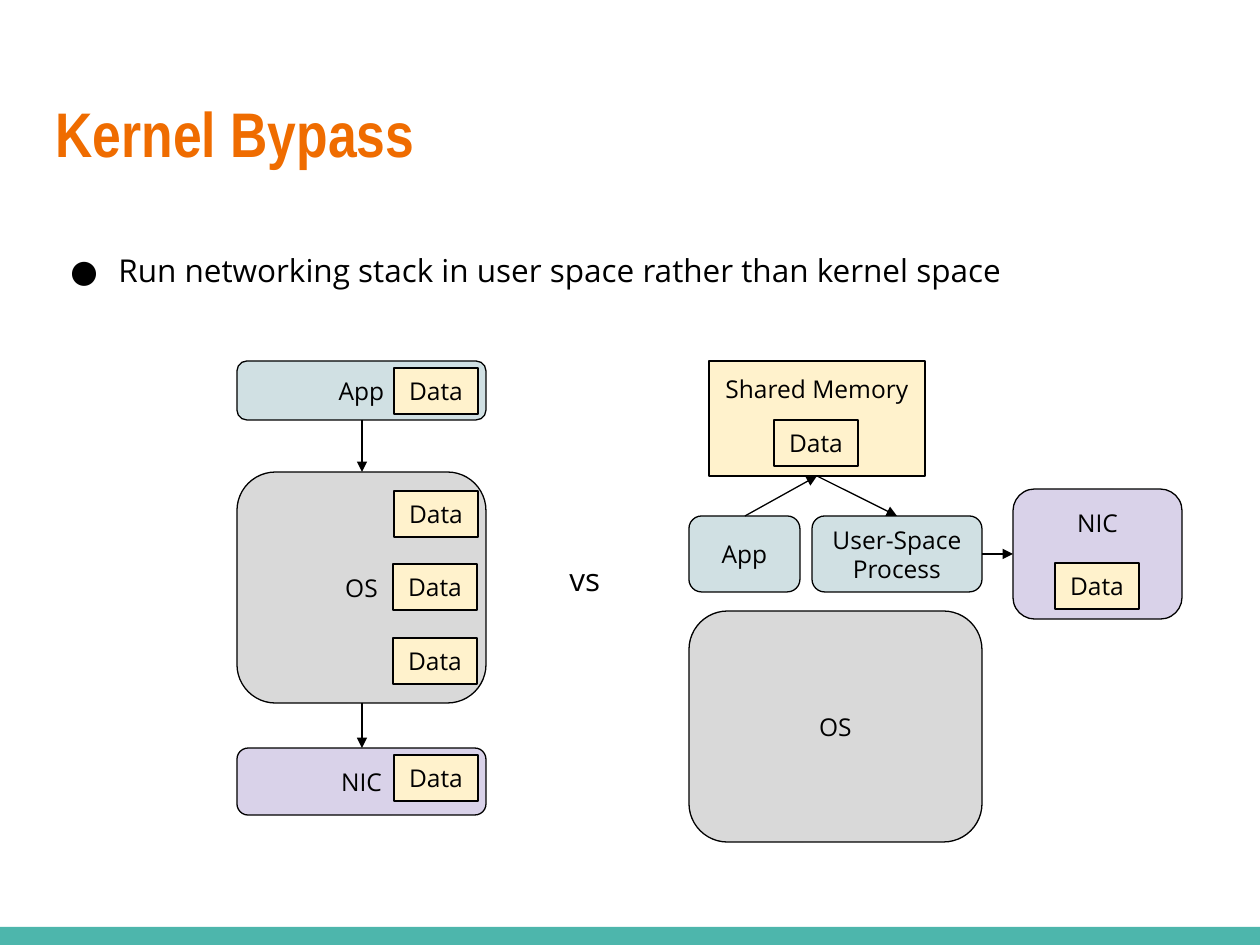
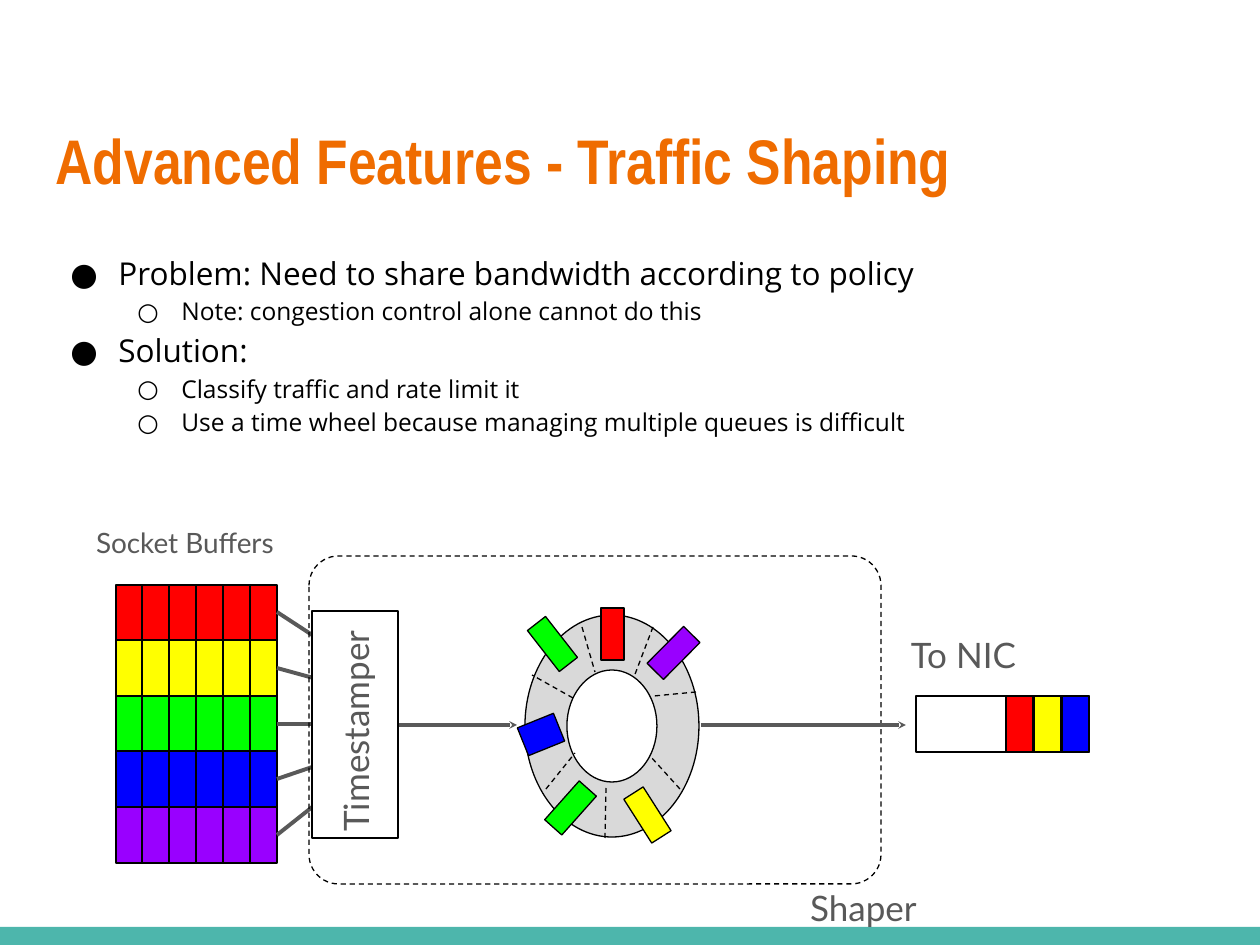
"""Build two slides on kernel bypass and traffic shaping."""
from lxml.etree import Element, SubElement
from pptx import Presentation
from pptx.dml.color import RGBColor
from pptx.enum.dml import MSO_LINE
from pptx.enum.shapes import MSO_CONNECTOR, MSO_SHAPE
from pptx.enum.text import MSO_ANCHOR, MSO_AUTO_SIZE, PP_ALIGN
from pptx.oxml.ns import qn
from pptx.util import Emu, Inches, Pt

UNIT = 914400 / 126
PAD = Inches(0.1)
BLACK, WHITE, GREY = "000000", "FFFFFF", "595959"
ORANGE, TEAL = "EF6C00", "4DB6AC"
BLUE, STONE, LILAC, CREAM = "D0E0E3", "D9D9D9", "D9D2E9", "FFF2CC"
RED, YELLOW, GREEN, NAVY, VIOLET = "FF0000", "FFFF00", "00FF00", "0000FF", "9900FF"
HEAD, BODY, LABEL = "Arial Narrow", "Open Sans", "Lato"
RECT, ROUND = MSO_SHAPE.RECTANGLE, MSO_SHAPE.ROUNDED_RECTANGLE
TOP, MIDDLE = MSO_ANCHOR.TOP, MSO_ANCHOR.MIDDLE
LEFT, CENTER = PP_ALIGN.LEFT, PP_ALIGN.CENTER
BAND = (0, 927, 1260, 18)
LEVELS = [("●", 18, 63, -48), ("○", 14, 126, -44)]

BYPASS = {
    "title": ("Kernel Bypass", (43, 82, 1174, 130)),
    "body": (43, 233, 1174, 76),
    "points": [(0, "Run networking stack in user space rather than kernel space")],
}
PARTS = [
    ("App", ROUND, (237, 361, 249, 59), BLUE, MIDDLE),
    ("OS", ROUND, (237, 472, 249, 231), STONE, MIDDLE),
    ("NIC", ROUND, (237, 748, 249, 67), LILAC, MIDDLE),
    ("App", ROUND, (689, 516, 111, 76), BLUE, MIDDLE),
    ("OS", ROUND, (689, 611, 293, 231), STONE, MIDDLE),
    ("NIC", ROUND, (1013, 489, 169, 130), LILAC, TOP),
    ("User-Space Process", ROUND, (812, 516, 170, 76), BLUE, MIDDLE),
    ("Shared Memory", RECT, (709, 361, 216, 115), CREAM, TOP),
]
FLOWS = [
    ((745, 516), (817, 476)),
    ((817, 476), (897, 516)),
    ((982, 554), (1013, 554)),
    ((362, 703), (362, 748)),
    ((362, 420), (362, 472)),
]
COPIES = [(394, 368), (394, 491), (394, 755), (774, 420),
          (1055, 563), (393, 564), (393, 638)]

SHAPING = {
    "title": ("Advanced Features - Traffic Shaping", (43, 109, 1174, 174)),
    "body": (43, 236, 1174, 607),
    "points": [
        (0, "Problem: Need to share bandwidth according to policy"),
        (1, "Note: congestion control alone cannot do this"),
        (0, "Solution:"),
        (1, "Classify traffic and rate limit it"),
        (1, "Use a time wheel because managing multiple queues is difficult"),
    ],
}
QUEUES = [
    (RED, (326, 644)),
    (YELLOW, (328, 682)),
    (GREEN, (328, 724)),
    (NAVY, (330, 761)),
    (VIOLET, (330, 793)),
]
GRID, COLS, CELL = (116, 585, 161, 278), 6, (27, 56)
SENT = [(1006, RED), (1034, YELLOW), (1062, NAVY)]
HUB, RIM, HOLE = (612, 726), (87, 111), (45, 56)
BEND = 0.55
ARC = [(1, BEND), (BEND, 1), (0, 1)]
SPOKES = [
    ((582, 627), (595, 672)),
    ((653, 627), (634, 677)),
    ((696, 692), (654, 696)),
    ((680, 789), (651, 757)),
    ((605, 838), (606, 788)),
    ((546, 789), (575, 753)),
    ((573, 698), (532, 675)),
]
PACKETS = [
    (VIOLET, (662, 627, 23, 52), 44.7),
    (RED, (601, 608, 23, 52), 0),
    (YELLOW, (636, 789, 23, 52), 327.5),
    (NAVY, (526, 715, 30, 39), 68),
    (GREEN, (541, 618, 23, 52), 322.1),
    (GREEN, (559, 782, 23, 52), 41.7),
]
HOPS = [((389, 725), (517, 725)), ((701, 725), (906, 725))]
LABELS = [
    ("To NIC", (881, 618, 165, 74), 20, MIDDLE, 0),
    ("Shaper", (788, 871, 151, 74), 20, MIDDLE, 0),
    ("Socket Buffers", (52, 513, 266, 74), 16, TOP, 0),
    ("Timestamper", (197, 703, 316, 56), 20, MIDDLE, 270),
]


def px(num):
    return Emu(round(num * UNIT))


def ink(code):
    return RGBColor.from_string(code)


def place(shape, box):
    shape.left, shape.top, shape.width, shape.height = map(px, box)


def frame(shape, anchor):
    text = shape.text_frame
    text.word_wrap = True
    text.auto_size = MSO_AUTO_SIZE.NONE
    text.vertical_anchor = anchor
    text.margin_left = text.margin_right = PAD
    text.margin_top = text.margin_bottom = PAD
    return text


def style(para, words, size, face, color=BLACK, align=CENTER, bold=False):
    para.text = words
    para.alignment = align
    font = para.font
    font.name, font.size, font.bold = face, Pt(size), bold
    font.color.rgb = ink(color)


def paint(shape, fill, edge=BLACK):
    shape.shadow.inherit = False
    if fill:
        shape.fill.solid()
        shape.fill.fore_color.rgb = ink(fill)
    else:
        shape.fill.background()
    if edge:
        shape.line.color.rgb = ink(edge)
        shape.line.width = Pt(0.75)
    else:
        shape.line.fill.background()


def block(slide, box, fill, kind=RECT, edge=BLACK, turn=0):
    shape = slide.shapes.add_shape(kind, *map(px, box))
    paint(shape, fill, edge)
    shape.rotation = turn
    return shape


def label(slide, words, box, size, face, color, anchor, align=CENTER, turn=0):
    shape = slide.shapes.add_textbox(*map(px, box))
    shape.rotation = turn
    style(frame(shape, anchor).paragraphs[0], words, size, face, color, align)


def line(slide, start, end, color=BLACK, width=0.75, head=None, size="med", dash=False):
    wire = slide.shapes.add_connector(MSO_CONNECTOR.STRAIGHT, *map(px, start + end))
    wire.line.color.rgb = ink(color)
    wire.line.width = Pt(width)
    if dash:
        wire.line.dash_style = MSO_LINE.DASH
    props = wire._element.spPr
    if head:
        SubElement(props.find(qn("a:ln")), qn("a:tailEnd"), type=head, w=size, len=size)
    SubElement(props, qn("a:effectLst"))


def bullet(para, level):
    mark, size, left, hang = LEVELS[level]
    para.level = level
    para.line_spacing = 1.15
    props = para._p.get_or_add_pPr()
    props.set("marL", str(px(left)))
    props.set("indent", str(px(hang)))
    SubElement(SubElement(props, qn("a:buClr")), qn("a:srgbClr"), val=BLACK)
    SubElement(props, qn("a:buFont"), typeface=BODY)
    SubElement(props, qn("a:buChar"), char=mark)
    return size


def start(deck, topic):
    slide = deck.slides.add_slide(deck.slide_layouts[5])
    words, box = topic["title"]
    title = slide.shapes.title
    place(title, box)
    style(frame(title, TOP).paragraphs[0], words, 36, HEAD, ORANGE, LEFT, True)
    body = slide.shapes.add_textbox(*map(px, topic["body"]))
    text = frame(body, TOP)
    for num, (level, words) in enumerate(topic["points"]):
        para = text.add_paragraph() if num else text.paragraphs[0]
        style(para, words, bullet(para, level), BODY, align=LEFT)
    return slide


def part(slide, words, kind, box, fill, anchor):
    shape = block(slide, box, fill, kind)
    style(frame(shape, anchor).paragraphs[0], words, 14, BODY)


def oval(radii):
    spots, arc = [(1, 0)], ARC
    for turn in range(4):
        spots += arc
        arc = [(-down, along) for along, down in arc]
    return [(px(HUB[0] + radii[0] * along), px(HUB[1] + radii[1] * down))
            for along, down in spots]


def curve(shape):
    path = shape._element.find(".//" + qn("a:path"))
    legs = path.findall(qn("a:lnTo"))
    for num in range(0, len(legs), 3):
        bow = Element(qn("a:cubicBezTo"))
        legs[num].addprevious(bow)
        for leg in legs[num:num + 3]:
            bow.append(leg[0])
            path.remove(leg)


def wheel(slide):
    rim, hole = oval(RIM), oval(HOLE)[::-1]
    pen = slide.shapes.build_freeform(*rim[0])
    pen.add_line_segments(rim[1:], close=True)
    pen.move_to(*hole[0])
    pen.add_line_segments(hole[1:], close=True)
    ring = pen.convert_to_shape()
    paint(ring, STONE)
    curve(ring)
    for tip, end in SPOKES:
        line(slide, tip, end, dash=True)
    for fill, box, turn in PACKETS:
        block(slide, box, fill, turn=turn)


def bypass(deck):
    slide = start(deck, BYPASS)
    band = block(slide, BAND, TEAL, edge=None)
    deck.slide_master.shapes._spTree.insert(2, band._element)
    for item in PARTS:
        part(slide, *item)
    for tip, end in FLOWS:
        line(slide, tip, end, head="triangle")
    label(slide, "vs", (557, 547, 62, 83), 18, BODY, BLACK, TOP, LEFT)
    for spot in COPIES:
        part(slide, "Data", RECT, spot + (84, 46), CREAM, MIDDLE)


def shaping(deck):
    slide = start(deck, SHAPING)
    left, top, wide, high = GRID
    rows = len(QUEUES)
    for row, (fill, end) in enumerate(QUEUES):
        for col in range(COLS):
            spot = (left + wide * col // COLS, top + high * row // rows)
            block(slide, spot + CELL, fill)
        mid = top + high * (2 * row + 1) // (2 * rows)
        line(slide, (left + wide, mid), end, GREY, 2.25, "stealth", "sm")
    block(slide, (916, 696, 173, 56), WHITE)
    for spot, fill in SENT:
        block(slide, (spot, 696) + CELL, fill)
    area = block(slide, (309, 556, 572, 328), None, ROUND)
    area.adjustments[0] = 0.09
    area.line.dash_style = MSO_LINE.DASH
    wheel(slide)
    for tip, end in HOPS:
        line(slide, tip, end, GREY, 2.25, "stealth", "sm")
    block(slide, (312, 611, 86, 227), WHITE)
    for words, box, size, anchor, turn in LABELS:
        label(slide, words, box, size, LABEL, GREY, anchor, turn=turn)


def main():
    deck = Presentation()
    deck.slide_width, deck.slide_height = px(1260), px(945)
    bypass(deck)
    shaping(deck)
    deck.save("out.pptx")


if __name__ == "__main__":
    main()
